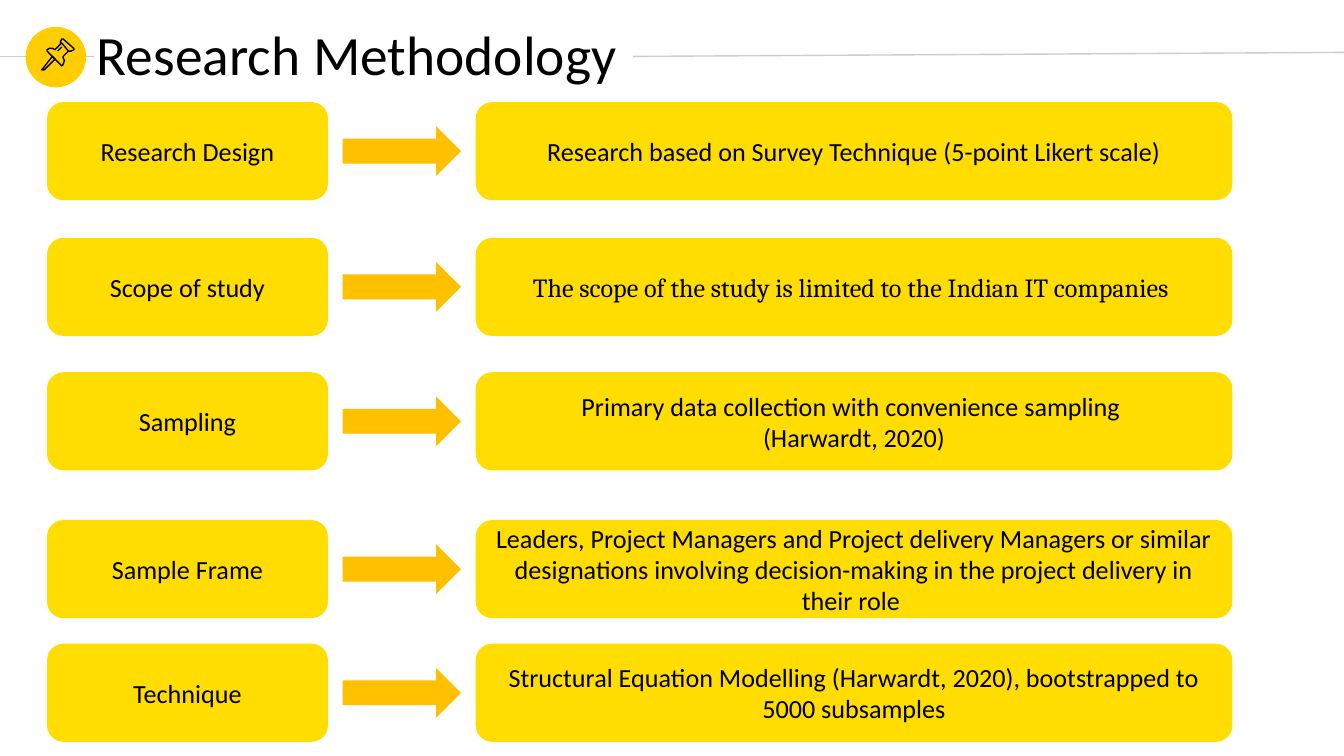
import pptx
import pptx.util
import pptx.dml.color
import pptx.enum.shapes
import pptx.enum.text
import pptx.oxml.ns
import lxml.etree
from dataclasses import dataclass

Inches = pptx.util.Inches
Shape = pptx.enum.shapes.MSO_SHAPE
Align = pptx.enum.text.PP_ALIGN
Anchor = pptx.enum.text.MSO_ANCHOR


@dataclass(frozen=True)
class Theme:
    text: str = "000000"
    box: str = "FFDD00"
    arrow: str = "FFC000"
    badge: str = "FFCD00"
    rule: str = "CCCCCC"
    background: str = "FFFFFF"
    font: str = "Calibri"
    serif: str = "Cambria"
    title_size: float = 29.7
    body_size: float = 14
    line_width: float = 0.75


THEME = Theme()
TITLE = "Research Methodology"

# top of row, step, description paragraphs, description font
ROWS = [
    (0.76, "Research Design",
     ["Research based on Survey Technique (5-point Likert scale)"], THEME.font),
    (1.77, "Scope of study",
     ["The scope of the study is limited to the Indian IT companies "], THEME.serif),
    (2.77, "Sampling",
     ["Primary data collection with convenience sampling ", "(Harwardt, 2020)"], THEME.font),
    (3.87, "Sample Frame",
     ["Leaders, Project Managers and Project delivery Managers or similar designations "
      "involving decision-making in the project delivery in their role "], THEME.font),
    (4.79, "Technique",
     ["Structural Equation Modelling (Harwardt, 2020), bootstrapped to 5000 subsamples"],
     THEME.font),
]

# left, width of each column
STEP_COLUMN = (0.35, 2.09)
ARROW_COLUMN = (2.55, 0.88)
DETAIL_COLUMN = (3.54, 5.63)
BOX_HEIGHT, ARROW_HEIGHT = 0.73, 0.37

LEFT_RULE = ((0, 0.42), (0.7, 0.42))
RIGHT_RULE = ((4.71, 0.42), (10, 0.39))

# points of each outline of the pushpin, and whether it is closed
PIN = [
    ([(0.39, 0.42), (0.32, 0.51), (0.31, 0.52), (0.33, 0.52), (0.41, 0.44)], True),
    ([(0.46, 0.32), (0.51, 0.38), (0.53, 0.38), (0.55, 0.37), (0.55, 0.36),
      (0.47, 0.29), (0.46, 0.29), (0.45, 0.31), (0.45, 0.32)], True),
    ([(0.46, 0.32), (0.41, 0.37), (0.39, 0.36), (0.37, 0.36), (0.35, 0.37),
      (0.35, 0.38), (0.45, 0.48), (0.46, 0.49), (0.47, 0.48), (0.48, 0.45),
      (0.47, 0.43), (0.47, 0.42), (0.51, 0.38)], False),
    ([(0.43, 0.38), (0.46, 0.35)], False),
]


def rgb(color):
    return pptx.dml.color.RGBColor.from_string(color)


def format_text(frame, size, font, align):
    frame.word_wrap = True
    frame.vertical_anchor = Anchor.MIDDLE
    for para in frame.paragraphs:
        para.alignment = align
        for span in para.runs:
            span.font.size = pptx.util.Pt(size)
            span.font.name = font
            span.font.color.rgb = rgb(THEME.text)


def add_filled(page, kind, left, top, width, height, color):
    shape = page.shapes.add_shape(
        kind, Inches(left), Inches(top), Inches(width), Inches(height))
    shape.shadow.inherit = False
    shape.fill.solid()
    shape.fill.fore_color.rgb = rgb(color)
    shape.line.fill.background()
    return shape


def add_box(page, column, top, text, font):
    left, width = column
    box = add_filled(page, Shape.ROUNDED_RECTANGLE, left, top, width, BOX_HEIGHT, THEME.box)
    box.text_frame.text = text
    format_text(box.text_frame, THEME.body_size, font, Align.CENTER)


def add_rule(page, start, end):
    rule = page.shapes.add_connector(
        pptx.enum.shapes.MSO_CONNECTOR.STRAIGHT, *map(Inches, start + end))
    rule.line.color.rgb = rgb(THEME.rule)
    rule.line.width = pptx.util.Pt(THEME.line_width)
    lxml.etree.SubElement(rule._element.spPr, pptx.oxml.ns.qn("a:effectLst"))


def add_pin(page):
    for points, closed in PIN:
        start, *others = [(Inches(x), Inches(y)) for x, y in points]
        builder = page.shapes.build_freeform(*start)
        builder.add_line_segments(others, close=closed)
        outline = builder.convert_to_shape()
        outline.shadow.inherit = False
        outline.fill.background()
        outline.line.color.rgb = rgb(THEME.text)
        outline.line.width = pptx.util.Pt(THEME.line_width)


def add_title(page):
    title = page.shapes.title
    title.left, title.top, title.width, title.height = map(Inches, (0.62, 0.21, 4.1, 0.43))
    title.text_frame.text = TITLE
    format_text(title.text_frame, THEME.title_size, THEME.font, Align.LEFT)
    title.text_frame.paragraphs[0].line_spacing = 0.9


def main():
    deck = pptx.Presentation()
    deck.slide_width = Inches(10)
    deck.slide_height = deck.slide_width * 9 // 16
    page = deck.slides.add_slide(deck.slide_layouts.get_by_name("Title Only"))
    page.background.fill.solid()
    page.background.fill.fore_color.rgb = rgb(THEME.background)

    add_title(page)
    add_rule(page, *LEFT_RULE)
    add_filled(page, Shape.OVAL, 0.19, 0.2, 0.45, 0.45, THEME.badge)
    add_pin(page)
    add_rule(page, *RIGHT_RULE)

    arrow_left, arrow_width = ARROW_COLUMN
    for top, step, details, font in ROWS:
        add_box(page, STEP_COLUMN, top, step, THEME.font)
        arrow_top = top + (BOX_HEIGHT - ARROW_HEIGHT) / 2
        add_filled(page, Shape.RIGHT_ARROW, arrow_left, arrow_top,
                   arrow_width, ARROW_HEIGHT, THEME.arrow)
        add_box(page, DETAIL_COLUMN, top, "\n".join(details), font)

    deck.save("out.pptx")


if __name__ == "__main__":
    main()
